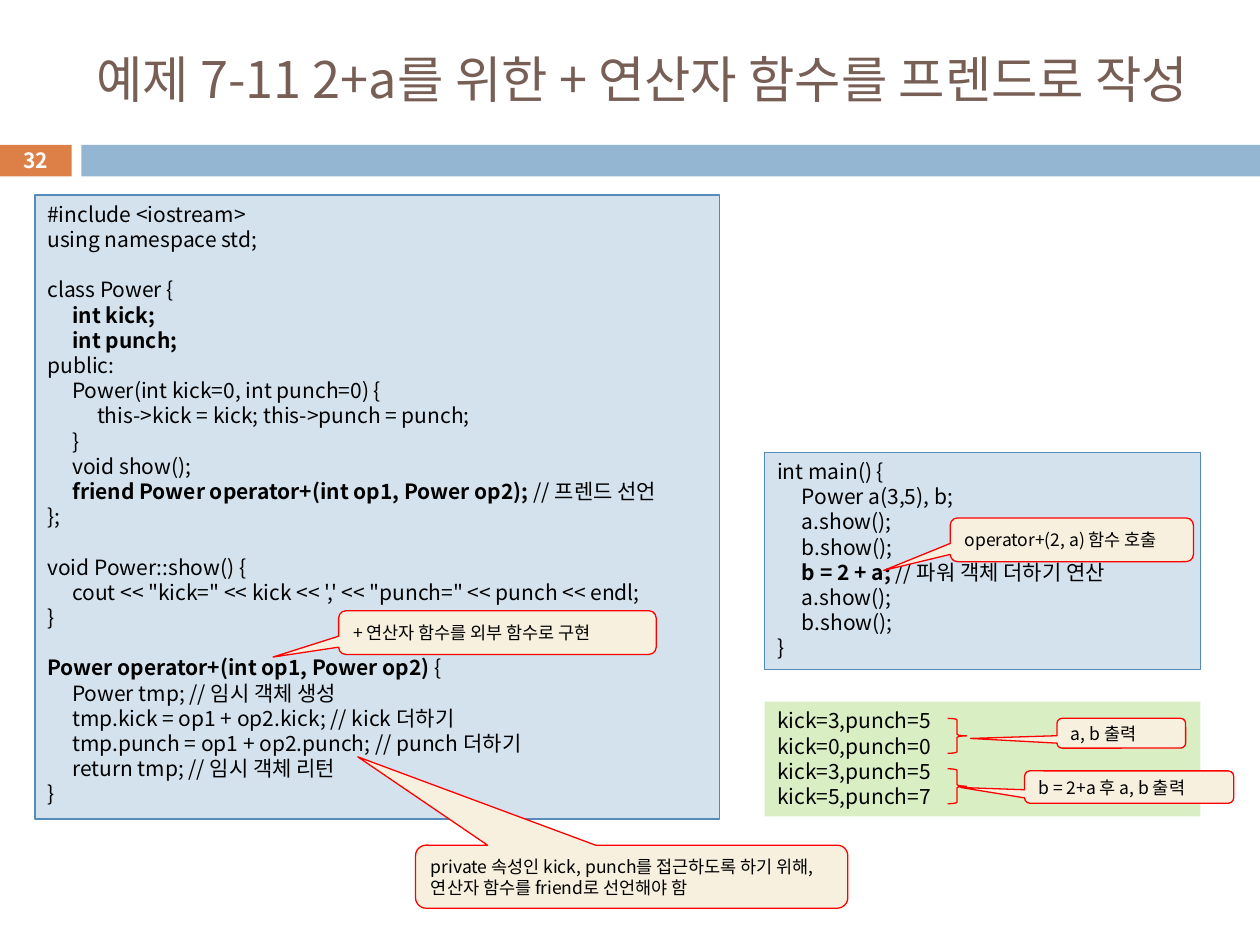
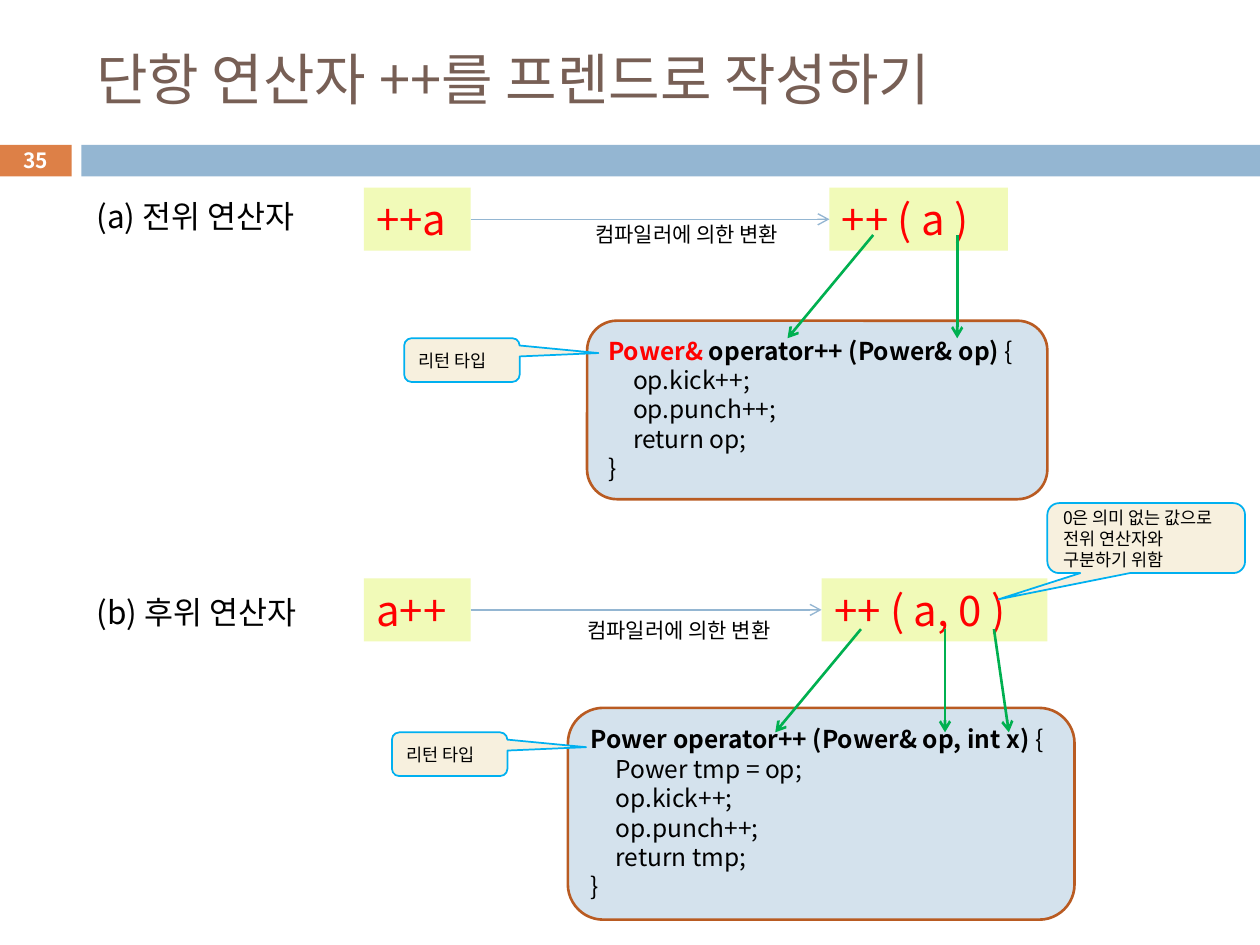
from dataclasses import dataclass

from lxml.etree import SubElement
from pptx import Presentation
from pptx.dml.color import RGBColor
from pptx.enum.shapes import MSO_CONNECTOR, MSO_SHAPE
from pptx.enum.text import MSO_ANCHOR, MSO_AUTO_SIZE, PP_ALIGN
from pptx.oxml.ns import qn
from pptx.util import Pt


@dataclass(frozen=True)
class Theme:
    font: str = "Noto Sans CJK KR"
    title: str = "775F55"
    text: str = "000000"
    white: str = "FFFFFF"
    orange: str = "DD8047"
    blue: str = "94B6D2"
    code_fill: str = "D4E2ED"
    code_line: str = "558BB8"
    code_frame: str = "B95B22"
    output_fill: str = "DAEEC4"
    expr_fill: str = "F1FAB8"
    note_fill: str = "F7F0DE"
    red: str = "FF0000"
    cyan: str = "00B0F0"
    green: str = "00B050"
    note_size: float = 10
    code_size: float = 12
    body_size: float = 14
    label_size: float = 18
    expr_size: float = 24
    title_size: float = 32
    leading: float = 1.2
    tab: float = 14.2


T = Theme()

POWER_CODE = """#include <iostream>
using namespace std;

class Power {
\t|int kick;|
\t|int punch;|
public:
\tPower(int kick=0, int punch=0) {
\t\tthis->kick = kick; this->punch = punch;
\t}
\tvoid show();
\t|friend Power operator+(int op1, Power op2); |// 프렌드 선언
};

void Power::show() {
\tcout << "kick=" << kick << ',' << "punch=" << punch << endl;
}

|Power operator+(int op1, Power op2) |{
\tPower tmp; // 임시 객체 생성
\ttmp.kick = op1 + op2.kick; // kick 더하기
\ttmp.punch = op1 + op2.punch; // punch 더하기
\treturn tmp; // 임시 객체 리턴
}"""

MAIN_CODE = """int main() {
\tPower a(3,5), b;
\ta.show();
\tb.show();
\t|b = 2 + a; |// 파워 객체 더하기 연산
\ta.show();
\tb.show();
}"""

OUTPUT = """kick=3,punch=5
kick=0,punch=0
kick=3,punch=5
kick=5,punch=7"""

PREFIX_CODE = """|Power& |operator++ (Power& op) |{
\top.kick++;
\top.punch++;
\treturn op;
}"""

POSTFIX_CODE = """|Power operator++ (Power& op, int x) |{
\tPower tmp = op;
\top.kick++;
\top.punch++;
\treturn tmp;
}"""


def rgb(color):
    return RGBColor.from_string(color)


def add_run(p, text, size, color, bold):
    r = p.add_run()
    r.text = text
    for name, value in {"name": T.font, "size": Pt(size), "bold": bold}.items():
        setattr(r.font, name, value)
    r.font.color.rgb = rgb(color)
    SubElement(r._r.get_or_add_rPr(), qn("a:ea"), typeface=T.font)


def write(sp, text, size, color=T.text, bold=False, align=PP_ALIGN.LEFT,
          anchor=MSO_ANCHOR.TOP, accent=None):
    """Leading tabs indent a line, an empty line adds space, | switches bold.

    A first bold part equal to accent is red, and the part after it stays bold.
    """
    tf = sp.text_frame
    frame = {"word_wrap": True, "auto_size": MSO_AUTO_SIZE.NONE, "vertical_anchor": anchor}
    for name, value in frame.items():
        setattr(tf, name, value)
    pitch, gap, p = size * T.leading, 0, None
    for line in text.split("\n"):
        if not line:
            gap = pitch
            continue
        p = tf.add_paragraph() if p is not None else tf.paragraphs[0]
        form = {"alignment": align, "line_spacing": Pt(pitch),
                "space_before": Pt(gap), "space_after": Pt(0)}
        for name, value in form.items():
            setattr(p, name, value)
        body = line.lstrip("\t")
        indent = Pt(T.tab * (len(line) - len(body)))
        p._p.get_or_add_pPr().set("marL", str(int(indent)))
        gap, strong = 0, bold
        for part in body.split("|"):
            if part:
                add_run(p, part, size, T.red if part == accent else color, strong)
            if part != accent:
                strong = not strong


def shape(s, kind, box, fill=None, line=None, width=0.75):
    sp = s.shapes.add_shape(kind, *map(Pt, box))
    sp.shadow.inherit = False
    if fill:
        sp.fill.solid()
        sp.fill.fore_color.rgb = rgb(fill)
    else:
        sp.fill.background()
    if line:
        sp.line.color.rgb = rgb(line)
        sp.line.width = Pt(width)
    else:
        sp.line.fill.background()
    return sp


def label(s, box, text, size, **form):
    write(s.shapes.add_textbox(*map(Pt, box)), text, size, **form)


def callout(s, box, tip, text, line=T.red, width=0.75):
    """Rounded note whose pointer ends at tip."""
    sp = shape(s, MSO_SHAPE.ROUNDED_RECTANGULAR_CALLOUT, box, T.note_fill, line, width)
    x, y, w, h = box
    sp.adjustments[0] = (tip[0] - x) / w - 0.5
    sp.adjustments[1] = (tip[1] - y) / h - 0.5
    write(sp, text, T.note_size, anchor=MSO_ANCHOR.MIDDLE)


def arrow(s, start, end, color, width):
    c = s.shapes.add_connector(MSO_CONNECTOR.STRAIGHT, *map(Pt, (*start, *end)))
    c.line.color.rgb = rgb(color)
    c.line.width = Pt(width)
    SubElement(c.line._get_or_add_ln(), qn("a:tailEnd"), type="arrow")
    SubElement(c._element.spPr, qn("a:effectLst"))


def new_slide(prs, title, number, size=T.title_size):
    """Blank slide with the shared title, bands and page number."""
    s = prs.slides.add_slide(prs.slide_layouts[6])
    shape(s, MSO_SHAPE.RECTANGLE, (0, 82.8, 41, 18), T.orange)
    shape(s, MSO_SHAPE.RECTANGLE, (46.5, 82.8, 673.5, 18), T.blue)
    label(s, (48, 18, 642, 53.5), title, size, color=T.title, anchor=MSO_ANCHOR.MIDDLE)
    label(s, (0, 81.5, 41, 19.5), number, 12, color=T.white, bold=True,
          align=PP_ALIGN.CENTER, anchor=MSO_ANCHOR.MIDDLE)
    return s


def class_panel(s, box):
    x, y, w, h = box
    write(shape(s, MSO_SHAPE.RECTANGLE, box, T.code_fill, T.code_line), POWER_CODE, T.code_size)
    callout(s, (x + 173.5, y + 237.5, 181.5, 25), (x + 136, y + 264),
            "+ 연산자 함수를 외부 함수로 구현")
    callout(s, (x + 217.5, y + h + 15, 247, 36), (x + 184.5, y + 321),
            "private 속성인 kick, punch를 접근하도록 하기 위해, 연산자 함수를 friend로 선언해야 함")


def main_panel(s, box):
    x, y, w, h = box
    write(shape(s, MSO_SHAPE.RECTANGLE, box, T.code_fill, T.code_line), MAIN_CODE, T.code_size)
    callout(s, (x + 106, y + 37.5, 139, 25), (x + 68, y + 67.5), "operator+(2, a) 함수 호출")


def output_panel(s, box):
    x, y, w, h = box
    write(shape(s, MSO_SHAPE.RECTANGLE, box, T.output_fill), OUTPUT, T.code_size)
    callout(s, (x + 167, y + 9.5, 73.5, 17), (x + 117.5, y + 21), "a, b 출력")
    callout(s, (x + 148.5, y + 39.5, 119.5, 18.5), (x + 112, y + 49), "b = 2+a 후 a, b 출력")
    # One brace for each pair of output lines
    for i in range(2):
        shape(s, MSO_SHAPE.RIGHT_BRACE, (x + 104.5, y + 9.5 + 28.8 * i, 10.8, 20), line=T.red)


def conversion_panel(s, box, name, expr, call, code, links, lower=0):
    """An expression, the call it becomes, and the function that is called.

    call and code are (left, width, text[, height]); links are pairs of x offsets
    and a start drop; lower moves the caption and the links down.
    """
    x, y, w, h = box
    call_x, call_w, call_text = call
    code_x, code_w, code_h, code_text = code
    # Expression and compiled call
    for left, width, text in ((160, 61, expr), (call_x, call_w, call_text)):
        sp = shape(s, MSO_SHAPE.RECTANGLE, (x + left, y, width, 36), T.expr_fill)
        write(sp, text, T.expr_size, T.red)
    arrow(s, (x + 221, y + 18), (x + call_x, y + 18), T.blue, 0.8)
    label(s, (x + call_x - 141, y + 16 + 1.5 * lower, 148, 21.5), "컴파일러에 의한 변환", T.code_size)
    label(s, (x, y + 2 + 1.5 * lower, 140, 29), name, T.label_size)
    # Called function
    sp = shape(s, MSO_SHAPE.ROUNDED_RECTANGLE, (x + code_x, y + 76 - lower, code_w, code_h),
               T.code_fill, T.code_frame, 1.5)
    write(sp, code_text, T.body_size, accent="Power& ")
    # Return type note and links from the call to the function
    top = y + 86 + lower
    note_x = x + links[0][0] - 268
    callout(s, (note_x, top, 66, 25), (note_x + 111, top + 8.5), "리턴 타입", T.cyan, 1)
    for start, end in links:
        arrow(s, (x + start, top - 59), (x + end, top), T.green, 1.5)


def friend_plus_slide(prs):
    s = new_slide(prs, "예제 7-11 2+a를 위한 + 연산자 함수를 프렌드로 작성", "32", 28.8)
    class_panel(s, (20, 111.5, 391, 356.5))
    output_panel(s, (437, 401, 249, 65.5))
    main_panel(s, (437, 258.5, 249, 124))


def unary_slide(prs):
    s = new_slide(prs, "단항 연산자 ++를 프렌드로 작성하기", "35")
    conversion_panel(s, (48, 107.3, 558, 179), "(a) 전위 연산자", "++a",
                     (426, 102, "++ ( a )"), (287.5, 263, 102, PREFIX_CODE),
                     ((451, 402), (499, 499)))
    conversion_panel(s, (48, 330.5, 566, 195), "(b) 후위 연산자", "a++",
                     (421.5, 129, "++ ( a, 0 )"), (276.5, 289.5, 121, POSTFIX_CODE),
                     ((444, 395), (492, 492), (520, 528.5)), 2)
    callout(s, (598.5, 287.5, 113, 40), (570.5, 342.5),
            "0은 의미 없는 값으로\n전위 연산자와\n구분하기 위함", T.cyan, 1)


def main():
    prs = Presentation()
    prs.slide_width, prs.slide_height = Pt(720), Pt(540)
    friend_plus_slide(prs)
    unary_slide(prs)
    prs.save("out.pptx")


if __name__ == "__main__":
    main()
